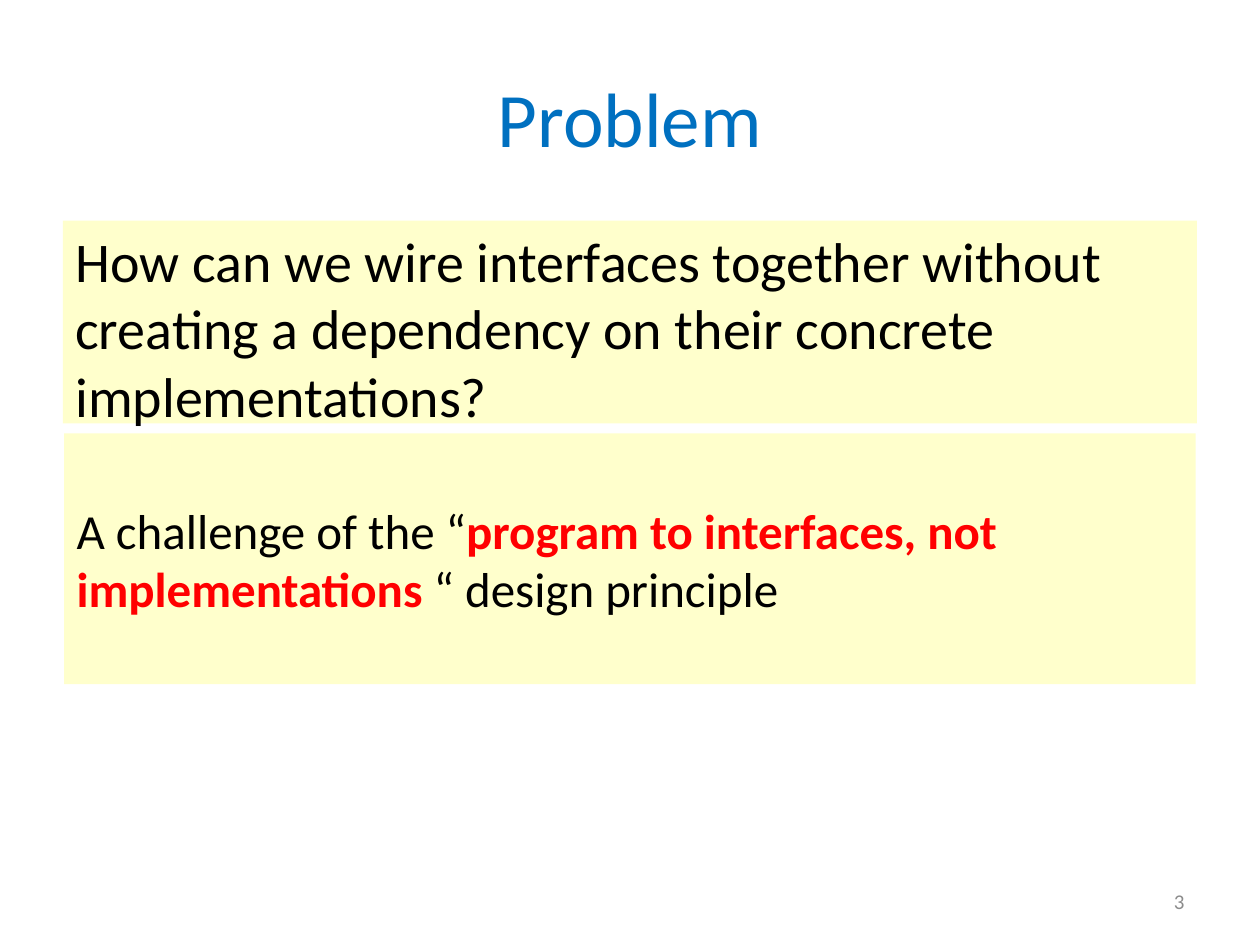
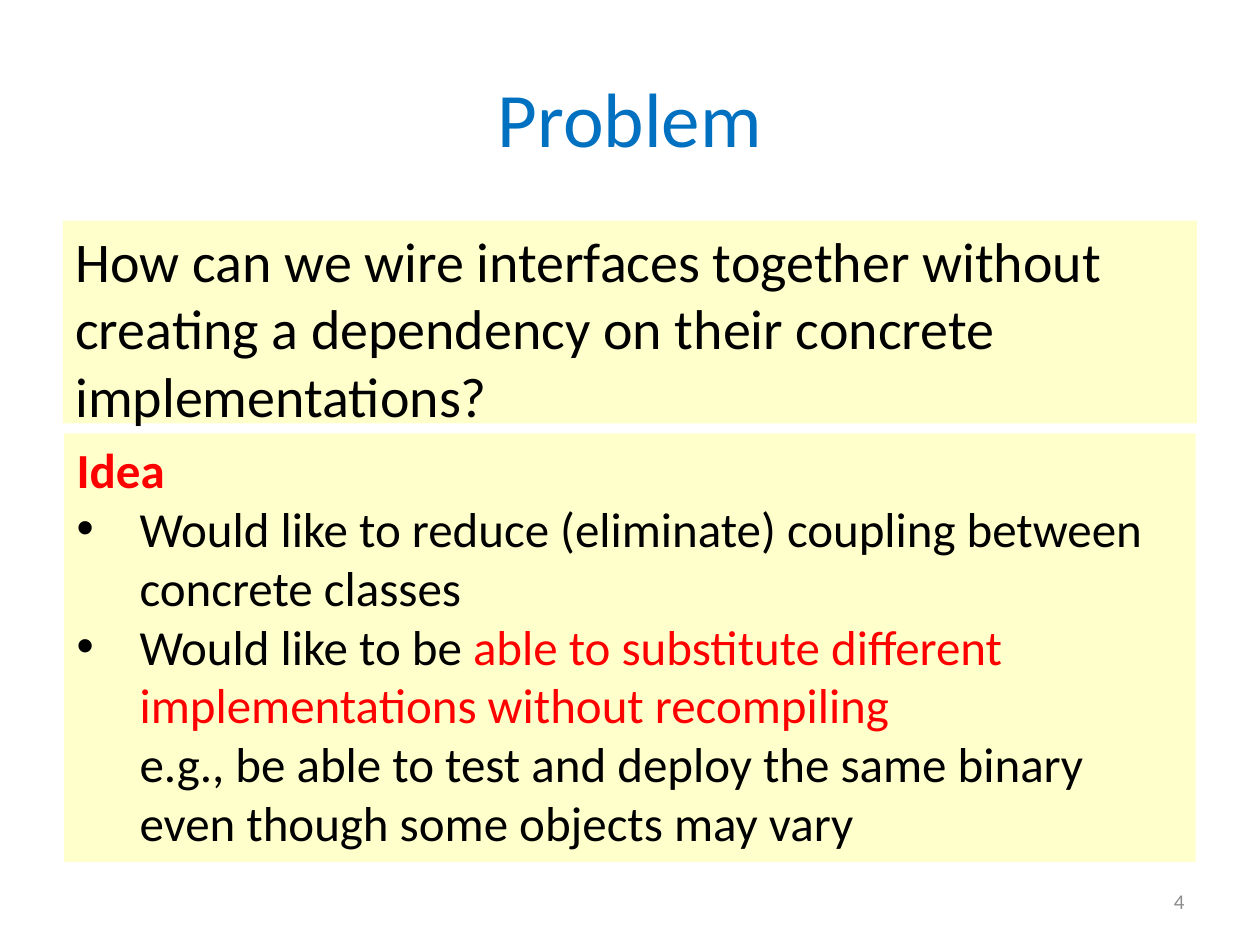
from lxml import etree
from pptx import Presentation
from pptx.dml.color import RGBColor
from pptx.enum.shapes import MSO_SHAPE
from pptx.enum.text import MSO_ANCHOR, PP_ALIGN
from pptx.oxml.ns import qn
from pptx.util import Inches, Pt

RECT = MSO_SHAPE.RECTANGLE
TOP, MIDDLE = MSO_ANCHOR.TOP, MSO_ANCHOR.MIDDLE
LEFT, CENTER, RIGHT = PP_ALIGN.LEFT, PP_ALIGN.CENTER, PP_ALIGN.RIGHT

BLUE = RGBColor(0x00, 0x70, 0xC0)
BLACK = RGBColor(0x00, 0x00, 0x00)
RED = RGBColor(0xFF, 0x00, 0x00)
GRAY = RGBColor(0x8C, 0x8C, 0x8C)
CREAM = RGBColor(0xFF, 0xFF, 0xCC)

FONT = "Calibri"
TITLE_ONLY = 5
HANG = Inches(0.5)
PLAIN = {"color": BLACK, "bold": False}
ACCENT = {"color": RED, "bold": False}
STRONG = {"color": RED, "bold": True}

QUESTION = ("How can we wire interfaces together without creating a dependency "
            "on their concrete implementations?")


class Deck:
    def __init__(self):
        self.prs = Presentation()
        self.prs.slide_width, self.prs.slide_height = Inches(10), Inches(7.5)
        self.s = None

    def slide(self, title, number):
        self.s = self.prs.slides.add_slide(self.prs.slide_layouts[TITLE_ONLY])
        sp = self.s.shapes.title
        self.place(sp, 0.5, 0.3, 9, 1.25)
        self.text(sp, [(None, [(title, {"color": BLUE})])], 44, MIDDLE, CENTER)
        sp = self.s.shapes.add_textbox(*map(Inches, (7.17, 6.95, 2.33, 0.4)))
        self.text(sp, [(None, [(str(number), {"color": GRAY})])], 12, MIDDLE, RIGHT)

    def place(self, sp, *box):
        for name, value in zip(("left", "top", "width", "height"), box):
            setattr(sp, name, Inches(value))

    def panel(self, box, paragraphs, size, anchor=TOP):
        sp = self.s.shapes.add_shape(RECT, *map(Inches, box))
        sp.shadow.inherit = False
        sp.fill.solid()
        sp.fill.fore_color.rgb = CREAM
        sp.line.fill.background()
        self.text(sp, paragraphs, size, anchor, LEFT)

    def text(self, sp, paragraphs, size, anchor, align):
        tf = sp.text_frame
        tf.word_wrap = True
        tf.vertical_anchor = anchor
        for i, (indent, runs) in enumerate(paragraphs):
            p = tf.paragraphs[0] if i == 0 else tf.add_paragraph()
            p.alignment = align
            if indent:
                self.indent(p, indent)
            for words, style in runs:
                self.run(p, words, {"name": FONT, "size": Pt(size), **style})

    def indent(self, p, kind):
        pPr = p._p.get_or_add_pPr()
        pPr.set("marL", str(HANG))
        if kind == "bullet":
            pPr.set("indent", str(-HANG))
            etree.SubElement(pPr, qn("a:buFont"), typeface="Arial")
            etree.SubElement(pPr, qn("a:buChar"), char="•")

    def run(self, p, words, style):
        r = p.add_run()
        r.text = words
        for name, value in style.items():
            if name == "color":
                r.font.color.rgb = value
            else:
                setattr(r.font, name, value)

    def problem(self, number, height, paragraphs, anchor=TOP):
        self.slide("Problem", number)
        self.panel((0.5, 1.75, 9, 1.61), [(None, [(QUESTION, PLAIN)])], 32)
        self.panel((0.51, 3.44, 8.98, height), paragraphs, 28, anchor)


def main():
    deck = Deck()
    deck.problem(3, 1.99, [
        (None, [("A challenge of the “", PLAIN),
                ("program to interfaces, not implementations ", STRONG),
                ("“ design principle", PLAIN)]),
    ], MIDDLE)
    deck.problem(4, 3.4, [
        (None, [("Idea", STRONG)]),
        ("bullet", [("Would like to reduce (eliminate) coupling between "
                     "concrete classes", PLAIN)]),
        ("bullet", [("Would like to be ", PLAIN),
                    ("able to substitute different implementations "
                     "without recompiling", ACCENT)]),
        ("plain", [("e.g., be able to test and deploy the same binary "
                    "even though some objects may vary", PLAIN)]),
    ])
    deck.prs.save("out.pptx")


if __name__ == "__main__":
    main()
